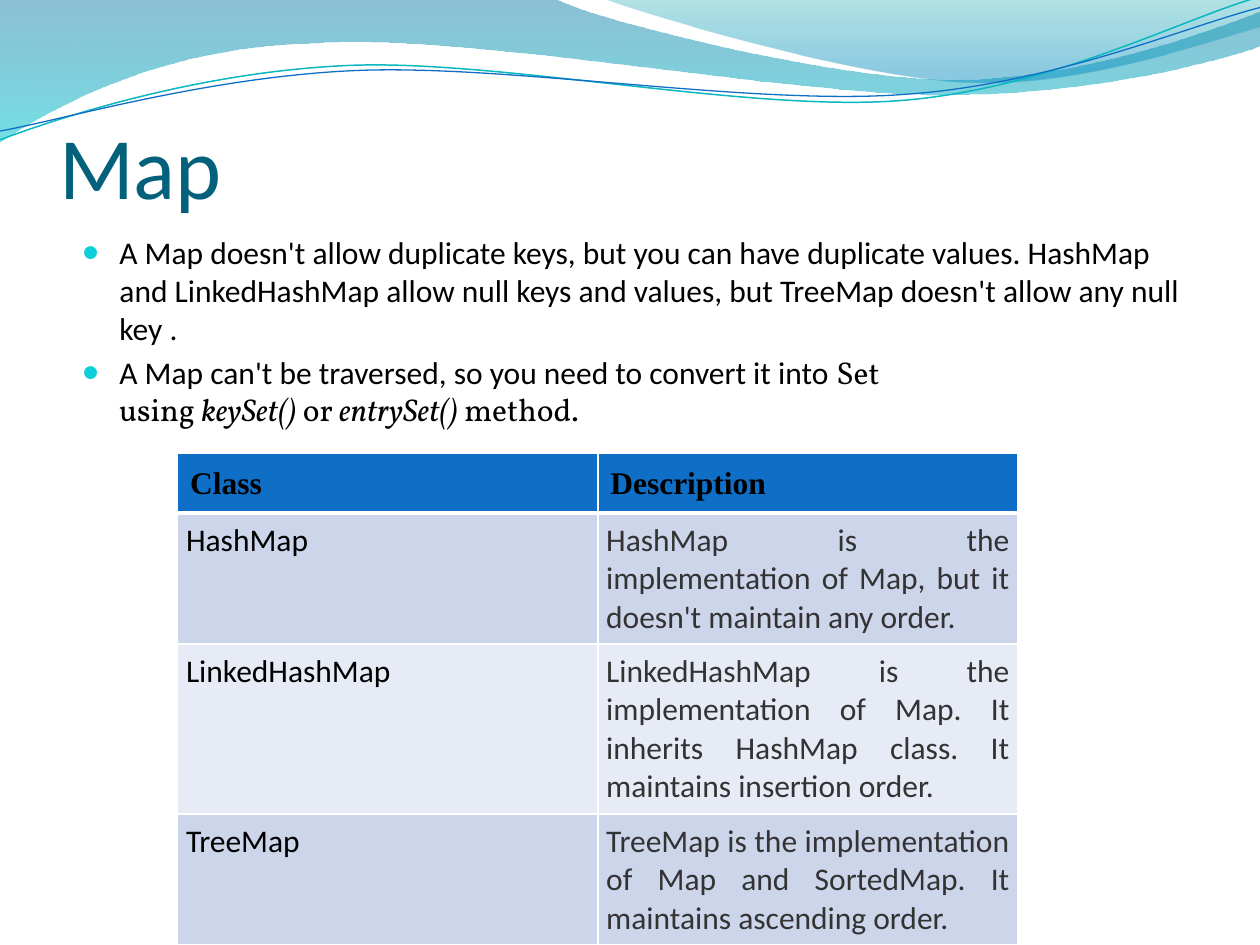
import pptx
import pptx.util
import pptx.dml.color
import pptx.enum.text
import pptx.oxml
import pptx.oxml.ns
import lxml.etree

Inches, Pt, qn = pptx.util.Inches, pptx.util.Pt, pptx.oxml.ns.qn
Align, Anchor = pptx.enum.text.PP_ALIGN, pptx.enum.text.MSO_ANCHOR
BLACK, GREY, WHITE, BLUE = "000000", "333333", "FFFFFF", "0F6FC6"

# A run of two numbers is a straight segment, a run of six a curve.
BANDS = [
    ([(0, 0), (4.4, -0.01), (4.76, 0.17, 6.64, 0.63, 7.58, 0.63),
      (8.53, 0.63, 9.58, 0.26, 10, 0.09), (10.01, 0.36),
      (9.83, 0.44, 8.7, 0.76, 7.46, 0.75), (6.22, 0.75, 3.82, 0.28, 2.57, 0.34),
      (1.29, 0.36, 0.46, 0.83, -0.01, 1.13)],
     [(0, "0074A1", 45), (1, "00C6CF", 55)]),
    ([(4.79, -0.01), (5.09, 0.11, 6.82, 0.62, 7.69, 0.65),
      (8.56, 0.69, 9.61, 0.32, 10, 0.21), (10, 0)],
     [(0, "00A1A9", 30), (0.8, "008BBF", 45)]),
]
WAVES = [
    ([(0, 1.11), (0.48, 0.93, 1.58, 0.57, 2.77, 0.52),
      (3.95, 0.47, 5.93, 0.89, 7.13, 0.8), (8.33, 0.71, 9.38, 0.15, 9.98, -0.02)],
     "0AB8BF", 0.85),
    ([(0, 1.04), (0.47, 0.96, 1.64, 0.61, 2.83, 0.56),
      (4.03, 0.51, 5.97, 0.84, 7.17, 0.75), (8.36, 0.67, 9.41, 0.21, 10, 0.06)],
     BLUE, 0.75),
]
SERIF = "Vollkorn"
POINTS = [
    [("A Map doesn't allow duplicate keys, but you can have duplicate values. "
      "HashMap and LinkedHashMap allow null keys and values, but TreeMap "
      "doesn't allow any null key .", "Calibri", False)],
    [("A Map can't be traversed, so you need to convert it into ", "Calibri", False),
     ("Set using\u00a0", SERIF, False), ("keySet()", SERIF, True),
     ("\u00a0or\u00a0", SERIF, False), ("entrySet()", SERIF, True),
     ("\u00a0method.", SERIF, False)],
]
ROWS = [
    ("Class", "Description"),
    ("HashMap", "HashMap is the implementation of Map, but it doesn't maintain any order."),
    ("LinkedHashMap", "LinkedHashMap is the implementation of Map. It inherits "
                      "HashMap class. It maintains insertion order."),
    ("TreeMap", "TreeMap is the implementation of Map and SortedMap. "
                "It maintains ascending order."),
]
HEIGHTS = [0.46, 1.04, 1.35, 1.04]


def color(code):
    """Turn a hex string into a colour."""
    return pptx.dml.color.RGBColor.from_string(code)


def style(run, size, face, code, bold=False, italic=False):
    """Format one run."""
    font = run.font
    font.size, font.name, font.bold, font.italic = Pt(size), face, bold, italic
    font.color.rgb = color(code)


def outline(slide, steps, close):
    """Draw a freeform, turning each triple of points into a curve."""
    spots = [(Inches(step[i]), Inches(step[i + 1]))
             for step in steps for i in range(0, len(step), 2)]
    maker = slide.shapes.build_freeform(*spots[0])
    maker.add_line_segments(spots[1:], close=close)
    shape = maker.convert_to_shape()
    shape.shadow.inherit = False
    lines = iter(list(shape.element.iter(qn("a:lnTo"))))
    for step in steps[1:]:
        group = [next(lines) for _ in range(len(step) // 2)]
        if len(group) == 3:
            curve = lxml.etree.Element(qn("a:cubicBezTo"))
            group[0].addprevious(curve)
            for line in group:
                curve.append(line[0])
                line.getparent().remove(line)
    return shape


def add_band(slide, steps, stops):
    """Draw a closed band with a see-through gradient."""
    shape = outline(slide, steps, True)
    shape.line.fill.background()
    shape.fill.gradient()
    shape.fill.gradient_angle = 270
    for stop, (place, code, _) in zip(shape.fill.gradient_stops, stops):
        stop.position, stop.color.rgb = place, color(code)
    for tint, (_, _, solid) in zip(shape.element.spPr.iter(qn("a:srgbClr")), stops):
        lxml.etree.SubElement(tint, qn("a:alpha"), val=str(solid * 1000))


def add_wave(slide, steps, code, width):
    """Draw an open wavy line."""
    shape = outline(slide, steps, False)
    shape.fill.background()
    shape.line.color.rgb, shape.line.width = color(code), Pt(width)


def add_box(slide, left, top, width, height):
    """Add a wrapping text box and return its frame."""
    box = slide.shapes.add_textbox(*map(Inches, (left, top, width, height)))
    box.text_frame.word_wrap = True
    return box.text_frame


def add_bullet(para):
    """Give a paragraph a hanging round bullet."""
    props = para._p.get_or_add_pPr()
    props.set("marL", str(Inches(0.3)))
    props.set("indent", str(-Inches(0.3)))
    tint = lxml.etree.SubElement(props, qn("a:buClr"))
    lxml.etree.SubElement(tint, qn("a:srgbClr"), val="0BD0D9")
    lxml.etree.SubElement(props, qn("a:buSzPct"), val="95000")
    lxml.etree.SubElement(props, qn("a:buFont"), typeface="Times New Roman")
    lxml.etree.SubElement(props, qn("a:buChar"), char="\u25cf")


def add_edges(cell, widths):
    """Draw white borders: left, right, top, bottom."""
    props = cell._tc.get_or_add_tcPr()
    for i, (side, width) in enumerate(zip("LRTB", widths)):
        edge = lxml.etree.Element(qn("a:ln" + side), w=str(Pt(width)))
        fill = lxml.etree.SubElement(edge, qn("a:solidFill"))
        lxml.etree.SubElement(fill, qn("a:srgbClr"), val=WHITE)
        props.insert(i, edge)


def fill_cell(cell, text, row, col):
    """Write and format one table cell."""
    head = row == 0
    pad = Inches(0.1) if head else Pt(4.8)
    cell.margin_left = cell.margin_right = cell.margin_top = pad
    cell.margin_bottom = Inches(0.07)
    cell.fill.solid()
    cell.fill.fore_color.rgb = color(BLUE if head else ("E7EBF5", "CCD5EA")[row % 2])
    add_edges(cell, (1, 1, 3 if row == 1 else 1, 3 if head else 1))
    cell.text_frame.text = text
    para = cell.text_frame.paragraphs[0]
    para.alignment = Align.LEFT if head else Align.JUSTIFY
    style(para.runs[0], 18, "Times New Roman" if head else "Calibri",
          GREY if col and not head else BLACK, bold=head)


deck = pptx.Presentation()
deck.slide_width, deck.slide_height = Inches(10), Inches(7.5)
slide = deck.slides.add_slide(deck.slide_layouts[6])

for band in BANDS:
    add_band(slide, *band)
for wave in WAVES:
    add_wave(slide, *wave)

title = add_box(slide, 0.47, 0.47, 9, 1.25)
title.margin_left = title.margin_right = title.margin_bottom = 0
title.vertical_anchor = Anchor.BOTTOM
title.text = "Map"
style(title.paragraphs[0].runs[0], 50, "Calibri", "04617B")

body = add_box(slide, 0.55, 1.8, 9, 4.8)
for i, parts in enumerate(POINTS):
    para = body.add_paragraph() if i else body.paragraphs[0]
    para.space_before = Pt(3.6)
    add_bullet(para)
    for text, face, slant in parts:
        run = para.add_run()
        run.text = text
        style(run, 18, face, BLACK, italic=slant)

table = slide.shapes.add_table(len(ROWS), 2, Inches(1.41), Inches(3.6),
                               Inches(6.67), Inches(sum(HEIGHTS))).table
for r, (texts, height) in enumerate(zip(ROWS, HEIGHTS)):
    table.rows[r].height = Inches(height)
    for c, text in enumerate(texts):
        fill_cell(table.cell(r, c), text, r, c)

deck.save("out.pptx")
